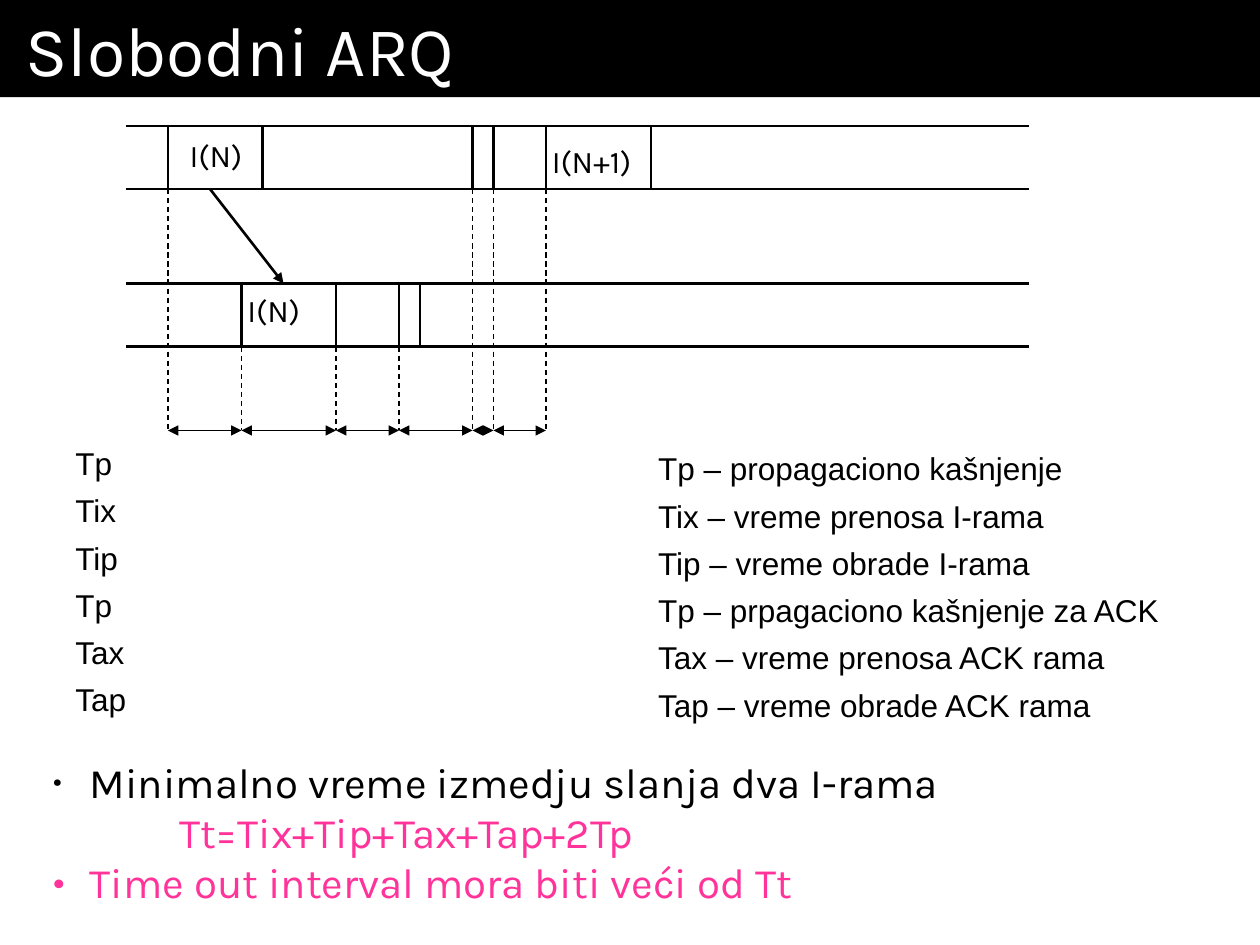
"""Build the slide that explains the timing of idle ARQ."""
from itertools import pairwise

from lxml import etree
from pptx import Presentation
from pptx import util as u
from pptx.dml.color import RGBColor
from pptx.enum import dml, shapes, text
from pptx.oxml.ns import qn

BLACK, WHITE, PINK = "000000", "FFFFFF", "FF3399"


def px(value):
    """Turn whole pixels into EMU."""
    return u.Emu(value * 9525)


def color(value):
    """Turn a hex string into a colour."""
    return RGBColor.from_string(value)


def apply(target, values):
    """Set every attribute named in values on target."""
    for name, value in values.items():
        setattr(target, name, value)


class Drawing:
    """Hold the style and the current slide."""

    frame_format = dict(
        margin_left=u.Inches(0.1), margin_right=u.Inches(0.1),
        margin_top=u.Inches(0.05), margin_bottom=u.Inches(0.05),
        auto_size=text.MSO_AUTO_SIZE.NONE,
        vertical_anchor=text.MSO_ANCHOR.BOTTOM, word_wrap=False)

    def __init__(self, presentation):
        """Add a title-only slide."""
        self.slide = presentation.slides.add_slide(presentation.slide_layouts[5])

    def label(self, paragraph, words, size, font="Karla", fill=BLACK):
        """Put one formatted run into a paragraph."""
        paragraph.alignment = text.PP_ALIGN.LEFT
        run = paragraph.add_run()
        run.text = words
        apply(run.font, dict(name=font, size=u.Pt(size), bold=False))
        run.font.color.rgb = color(fill)

    def title(self, words, width, height):
        """Format the title placeholder as a black bar."""
        shape = self.slide.shapes.title
        apply(shape, dict(left=0, top=0, width=px(width), height=px(height)))
        shape.fill.solid()
        shape.fill.fore_color.rgb = color(BLACK)
        apply(shape.text_frame, self.frame_format | dict(
            margin_left=u.Inches(0.2), margin_right=u.Inches(0.2), word_wrap=True,
            vertical_anchor=text.MSO_ANCHOR.MIDDLE))
        self.label(shape.text_frame.paragraphs[0], words, 40, fill=WHITE)

    def line(self, x1, y1, x2, y2, width=1.5, dashed=False, ends=()):
        """Draw a straight line with optional arrowheads."""
        connector = self.slide.shapes.add_connector(
            shapes.MSO_CONNECTOR.STRAIGHT, px(x1), px(y1), px(x2), px(y2))
        connector.line.color.rgb = color(BLACK)
        connector.line.width = u.Pt(width)
        if dashed:
            connector.line.dash_style = dml.MSO_LINE.DASH
        properties = connector._element.spPr
        outline = properties.find(qn("a:ln"))
        for end in ends:
            etree.SubElement(outline, qn(f"a:{end}"), type="triangle")
        etree.SubElement(properties, qn("a:effectLst"))

    def box(self, left, top, width, height, **values):
        """Add an empty text box and return its text frame."""
        shape = self.slide.shapes.add_textbox(
            px(left), px(top), px(width), px(height))
        apply(shape.text_frame, self.frame_format | values)
        return shape.text_frame

    def rows(self, frame, lines, font="Karla"):
        """Fill a text frame with evenly spaced lines."""
        for index, words in enumerate(lines):
            paragraph = frame.add_paragraph() if index else frame.paragraphs[0]
            paragraph.space_after = u.Pt(5.4)
            self.label(paragraph, words, 18, font)

    def bullets(self, frame, items):
        """Fill a text frame with (words, colour, bullet percent, margin)."""
        for index, (words, fill, percent, margin) in enumerate(items):
            paragraph = frame.add_paragraph() if index else frame.paragraphs[0]
            properties = paragraph._p.get_or_add_pPr()
            properties.set("marL", str(px(margin)))
            if percent:
                properties.set("indent", str(-px(margin)))
                tint = etree.SubElement(properties, qn("a:buClr"))
                etree.SubElement(tint, qn("a:srgbClr"), val=fill)
                etree.SubElement(properties, qn("a:buSzPct"), val=str(percent * 1000))
                etree.SubElement(properties, qn("a:buFont"), typeface="Karla")
                etree.SubElement(properties, qn("a:buChar"), char="•")
            else:
                properties.set("indent", "0")
                etree.SubElement(properties, qn("a:buNone"))
            self.label(paragraph, words, 24, fill=fill)


def main():
    """Draw both time lines, the intervals and the explanations."""
    presentation = Presentation()
    apply(presentation, dict(slide_width=px(960), slide_height=px(720)))
    drawing = Drawing(presentation)
    drawing.title("Slobodni ARQ", 960, 74)

    sender, receiver, track, axis = 96, 216, 48, 328
    frame_edges = {sender: (128, 200, 360, 376, 416, 496),
                   receiver: (184, 256, 304, 320)}
    for top, edges in frame_edges.items():
        for y in (top, top + track):
            drawing.line(96, y, 784, y)
        for x in edges:
            drawing.line(x, top, x, top + track)
    drawing.line(160, sender + track, 216, receiver, ends=["tailEnd"])

    moments = {128: sender, 184: receiver, 256: receiver, 304: receiver,
               360: sender, 376: sender, 416: sender}
    for x, top in moments.items():
        drawing.line(x, top, x, axis, 0.75, dashed=True)
    for start, end in pairwise(moments):
        drawing.line(start, axis, end, axis, 0.75, ends=["headEnd", "tailEnd"])

    for words, left, top, width in (
            ("I(N)", 135, 99, 60), ("I(N)", 179, 217, 60), ("I(N+1)", 411, 104, 87)):
        drawing.rows(drawing.box(left, top, width, 38), [words])

    meanings = (("Tp", "propagaciono kašnjenje"),
                ("Tix", "vreme prenosa I-rama"),
                ("Tip", "vreme obrade I-rama"),
                ("Tp", "prpagaciono kašnjenje za ACK"),
                ("Tax", "vreme prenosa ACK rama"),
                ("Tap", "vreme obrade ACK rama"))
    drawing.rows(drawing.box(48, 339, 60, 213),
                 [symbol for symbol, _ in meanings], "Arial")
    drawing.rows(drawing.box(492, 343, 402, 213),
                 [f"{symbol} – {meaning}" for symbol, meaning in meanings], "Arial")

    drawing.bullets(drawing.box(31, 571, 850, 125, word_wrap=True), (
        ("Minimalno vreme izmedju slanja dva I-rama", BLACK, 75, 28),
        ("Tt=Tix+Tip+Tax+Tap+2Tp", PINK, None, 96),
        ("Time out interval mora biti veći od Tt", PINK, 100, 28)))
    presentation.save("out.pptx")


if __name__ == "__main__":
    main()
